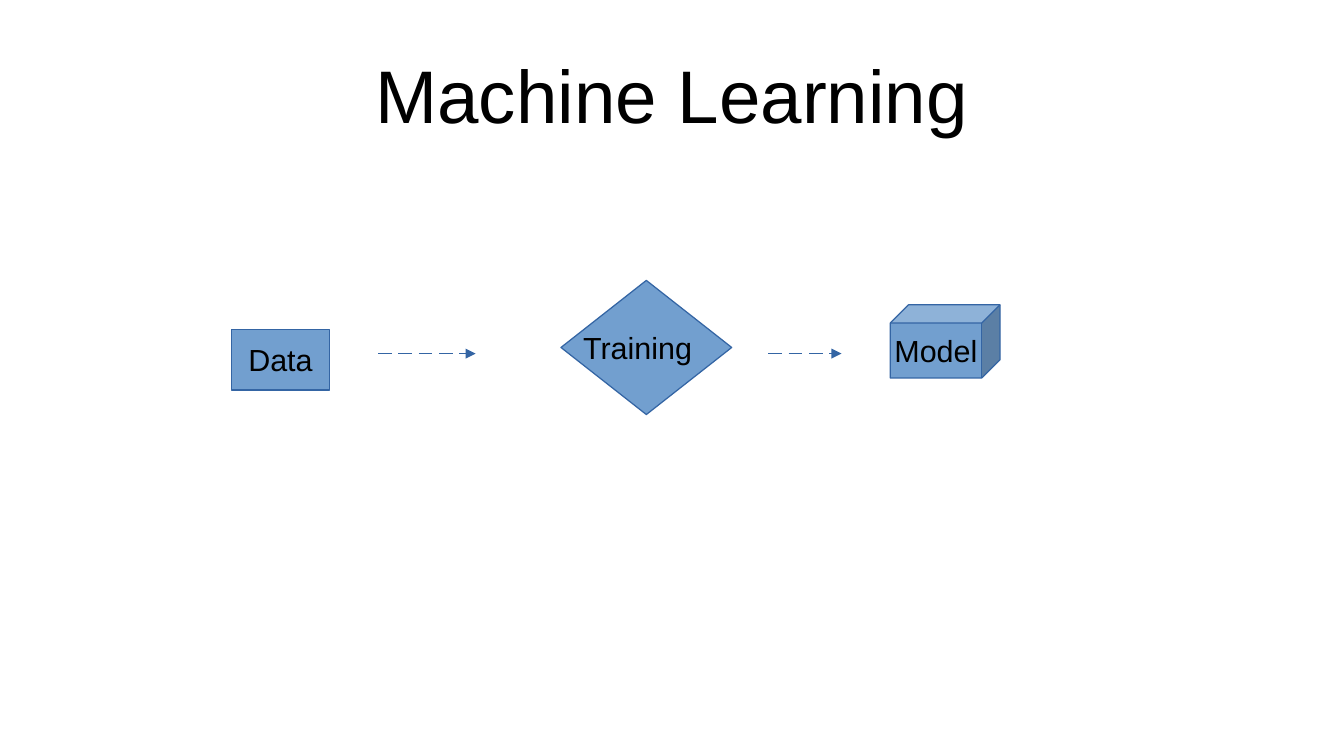
import pptx
import pptx.dml.color
import pptx.enum.shapes
import pptx.enum.text
import pptx.oxml.ns
import pptx.util
from lxml import etree

Inches = pptx.util.Inches
Pt = pptx.util.Pt
SHAPES = pptx.enum.shapes.MSO_SHAPE

BLACK = pptx.dml.color.RGBColor(0x00, 0x00, 0x00)
FILL_BLUE = pptx.dml.color.RGBColor(0x72, 0x9F, 0xCF)
LINE_BLUE = pptx.dml.color.RGBColor(0x34, 0x65, 0xA4)
FONT = "Arial"
LINE_WIDTH = Pt(0.75)
ARROW_Y = 2.9


def write_text(shape, text, size):
    frame = shape.text_frame
    frame.vertical_anchor = pptx.enum.text.MSO_ANCHOR.MIDDLE
    para = frame.paragraphs[0]
    para.alignment = pptx.enum.text.PP_ALIGN.CENTER
    span = para.add_run()
    span.text = text
    span.font.name = FONT
    span.font.size = Pt(size)
    span.font.color.rgb = BLACK


def add_title(page, text):
    box = page.shapes.add_textbox(
        Inches(0.55), Inches(0.25), Inches(9.92), Inches(1.03))
    frame = box.text_frame
    frame.word_wrap = True
    frame.margin_left = frame.margin_right = 0
    frame.margin_top = frame.margin_bottom = 0
    write_text(box, text, 44)


def add_step(page, kind, text, left, top, width, height, right_margin=0.1):
    """Add a labelled flow step; a wider right margin moves its label left."""
    step = page.shapes.add_shape(
        kind, Inches(left), Inches(top), Inches(width), Inches(height))
    step.shadow.inherit = False
    step.fill.solid()
    step.fill.fore_color.rgb = FILL_BLUE
    step.line.color.rgb = LINE_BLUE
    step.line.width = LINE_WIDTH
    step.text_frame.word_wrap = False
    step.text_frame.margin_right = Inches(right_margin)
    write_text(step, text, 18)


def add_xml(parent, tag, **attributes):
    return etree.SubElement(parent, pptx.oxml.ns.qn(tag), attributes)


def add_dashed_arrow(page, start, end):
    arrow = page.shapes.add_connector(
        pptx.enum.shapes.MSO_CONNECTOR.STRAIGHT,
        Inches(start), Inches(ARROW_Y), Inches(end), Inches(ARROW_Y))
    arrow.line.color.rgb = LINE_BLUE
    arrow.line.width = LINE_WIDTH
    line = arrow.line._get_or_add_ln()
    dashes = add_xml(line, "a:custDash")
    add_xml(dashes, "a:ds", d="1090000", sp="540000")
    add_xml(line, "a:tailEnd", type="triangle")
    add_xml(arrow._element.spPr, "a:effectLst")


def main():
    deck = pptx.Presentation()
    deck.slide_width = Inches(11.02)
    deck.slide_height = Inches(6.2)
    page = deck.slides.add_slide(deck.slide_layouts[6])

    add_step(page, SHAPES.RECTANGLE, "Data", 1.9, 2.7, 0.8, 0.5)
    add_step(page, SHAPES.DIAMOND, "Training", 4.6, 2.3, 1.4, 1.1,
             right_margin=0.24)
    add_dashed_arrow(page, 3.1, 3.9)
    add_step(page, SHAPES.CUBE, "Model", 7.3, 2.5, 0.9, 0.6)
    add_dashed_arrow(page, 6.3, 6.9)
    add_title(page, "Machine Learning")

    deck.save("out.pptx")


if __name__ == "__main__":
    main()
